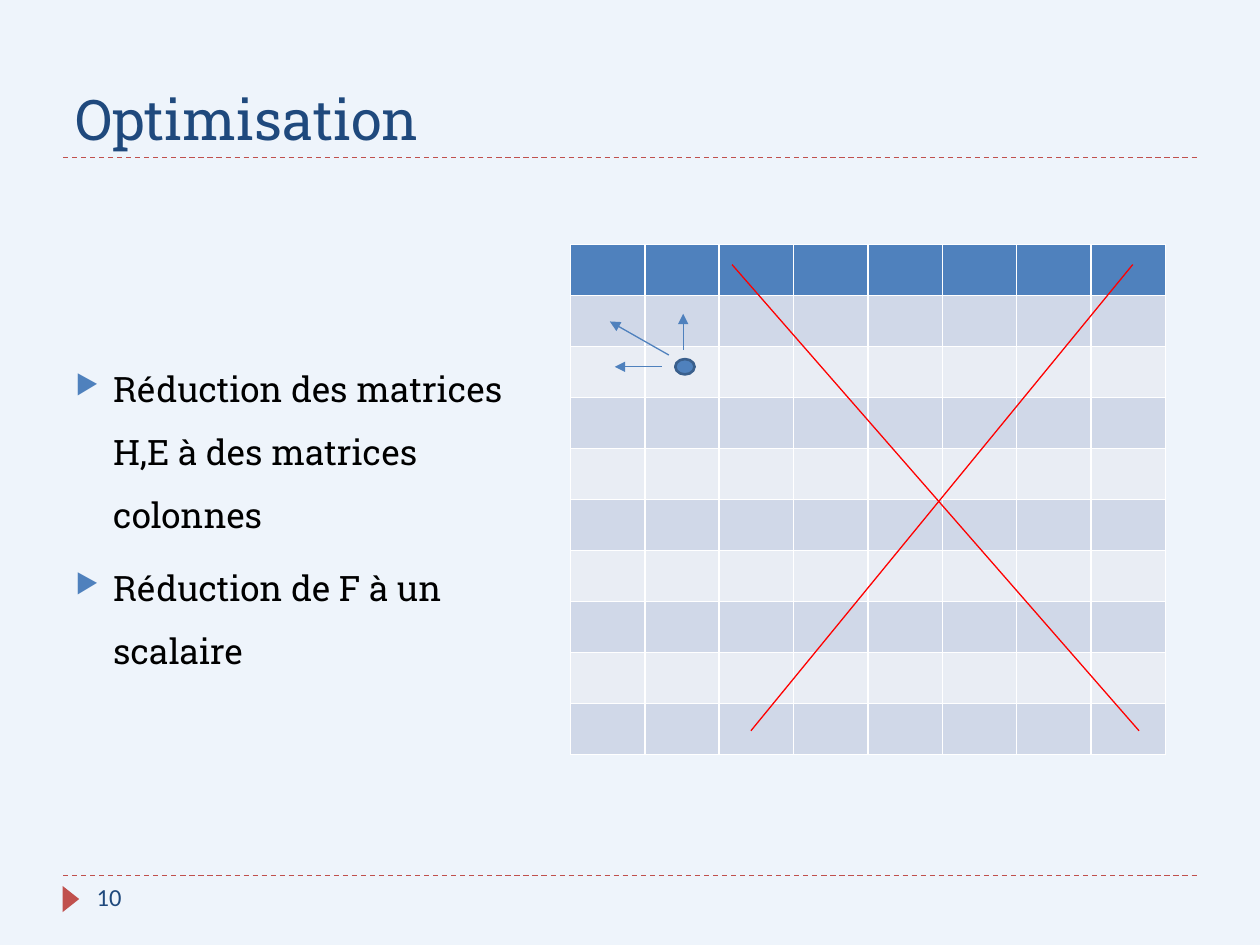
from dataclasses import dataclass

from lxml.etree import SubElement
from pptx import Presentation
from pptx.dml.color import RGBColor
from pptx.enum.dml import MSO_LINE
from pptx.enum.shapes import MSO_CONNECTOR, MSO_SHAPE
from pptx.enum.text import MSO_ANCHOR
from pptx.oxml.ns import qn
from pptx.util import Pt


@dataclass(frozen=True)
class Theme:
    background: str = "EEF4FB"
    heading: str = "1F497D"
    text: str = "000000"
    accent: str = "4F81BD"
    outline: str = "3A5F8C"
    rule: str = "C0504D"
    cross: str = "FF0000"
    border: str = "FFFFFF"
    bands: tuple = ("E9EDF4", "D0D8E8")
    slab: str = "Roboto Slab"
    sans: str = "Calibri"
    title_size: int = 32
    body_size: int = 20
    number_size: int = 14
    thin: float = 0.75


def color(value):
    return RGBColor.from_string(value)


class Slide:
    def __init__(self, deck, theme):
        self.theme = theme
        self.page = deck.slides.add_slide(deck.slide_layouts[6])
        fill = self.page.background.fill
        fill.solid()
        fill.fore_color.rgb = color(theme.background)

    def line(self, start, end, tint, dashed=False, arrow=False):
        connector = self.page.shapes.add_connector(
            MSO_CONNECTOR.STRAIGHT, *map(Pt, start + end))
        connector.line.color.rgb = color(tint)
        connector.line.width = Pt(self.theme.thin)
        if dashed:
            connector.line.dash_style = MSO_LINE.DASH
        if arrow:
            SubElement(connector.line._get_or_add_ln(), qn("a:tailEnd"), type="triangle")
        SubElement(connector._element.spPr, qn("a:effectLst"))

    def shape(self, kind, area, fill, outline=None, rotation=0):
        shape = self.page.shapes.add_shape(kind, *map(Pt, area))
        shape.shadow.inherit = False
        shape.rotation = rotation
        shape.fill.solid()
        shape.fill.fore_color.rgb = color(fill)
        if outline:
            shape.line.color.rgb = color(outline)
            shape.line.width = Pt(1.5)
        else:
            shape.line.fill.background()

    def text(self, area, paragraphs, size, tint, font, anchor=MSO_ANCHOR.TOP, bullets=False):
        box = self.page.shapes.add_textbox(*map(Pt, area))
        frame = box.text_frame
        frame.word_wrap = True
        frame.vertical_anchor = anchor
        for index, words in enumerate(paragraphs):
            para = frame.add_paragraph() if index else frame.paragraphs[0]
            if bullets:
                self.bullet(para)
            span = para.add_run()
            span.text = words
            span.font.size = Pt(size)
            span.font.name = font
            span.font.color.rgb = color(tint)

    def bullet(self, para):
        para.line_spacing = 1.5
        para.space_before = Pt(6)
        properties = para._p.get_or_add_pPr()
        properties.set("marL", str(Pt(21.6)))
        properties.set("indent", str(-Pt(21.6)))
        tint = SubElement(properties, qn("a:buClr"))
        SubElement(tint, qn("a:srgbClr"), val=self.theme.accent)
        SubElement(properties, qn("a:buSzPct"), val="76000")
        SubElement(properties, qn("a:buChar"), char="▶")

    def grid(self, left, top, rows, columns, cell_width, cell_height):
        table = self.page.shapes.add_table(
            rows, columns, Pt(left), Pt(top),
            Pt(columns * cell_width), Pt(rows * cell_height)).table
        for column in table.columns:
            column.width = Pt(cell_width)
        for index, row in enumerate(table.rows):
            row.height = Pt(cell_height)
            fill = self.theme.bands[index % 2] if index else self.theme.accent
            for cell in row.cells:
                self.cell(cell, fill)

    def cell(self, cell, fill):
        cell.margin_top = cell.margin_bottom = 0
        properties = cell._tc.get_or_add_tcPr()
        for side in ("lnL", "lnR", "lnT", "lnB"):
            edge = SubElement(properties, qn(f"a:{side}"), w=str(Pt(1)))
            paint = SubElement(edge, qn("a:solidFill"))
            SubElement(paint, qn("a:srgbClr"), val=self.theme.border)
        cell.fill.solid()
        cell.fill.fore_color.rgb = color(fill)


def main():
    deck = Presentation()
    deck.slide_width, deck.slide_height = Pt(720), Pt(540)
    theme = Theme()
    slide = Slide(deck, theme)

    for height in (500.4, 90):
        slide.line((36, height), (684, height), theme.rule, dashed=True)
    slide.shape(MSO_SHAPE.ISOSCELES_TRIANGLE, (33, 509, 15, 9.5), theme.rule, rotation=90)

    slide.text((36, 12, 648, 78), ["Optimisation"], theme.title_size,
               theme.heading, theme.slab, MSO_ANCHOR.BOTTOM)
    slide.text((36, 96, 284.4, 389.5),
               ["Réduction des matrices H,E à des matrices colonnes",
                "Réduction de F à un scalaire"],
               theme.body_size, theme.text, theme.slab, MSO_ANCHOR.MIDDLE, bullets=True)

    slide.grid(326, 139.7, rows=10, columns=8, cell_width=42.5, cell_height=29.15)
    slide.line((647.3, 151.2), (429.1, 417.6), theme.cross)
    slide.line((418.3, 151.2), (650.9, 417.6), theme.cross)

    slide.shape(MSO_SHAPE.FLOWCHART_CONNECTOR, (385.9, 205.2, 11, 8.8),
                theme.accent, theme.outline)
    for start, end in (((390.4, 200), (390.4, 179.3)),
                       ((378.2, 209.6), (351.3, 209.6)),
                       ((382.2, 202.9), (348.5, 183.7))):
        slide.line(start, end, theme.accent, arrow=True)

    slide.text((48.2, 500.4, 156.2, 28.8), ["10"], theme.number_size,
               theme.heading, theme.sans)
    deck.save("out.pptx")


if __name__ == "__main__":
    main()
